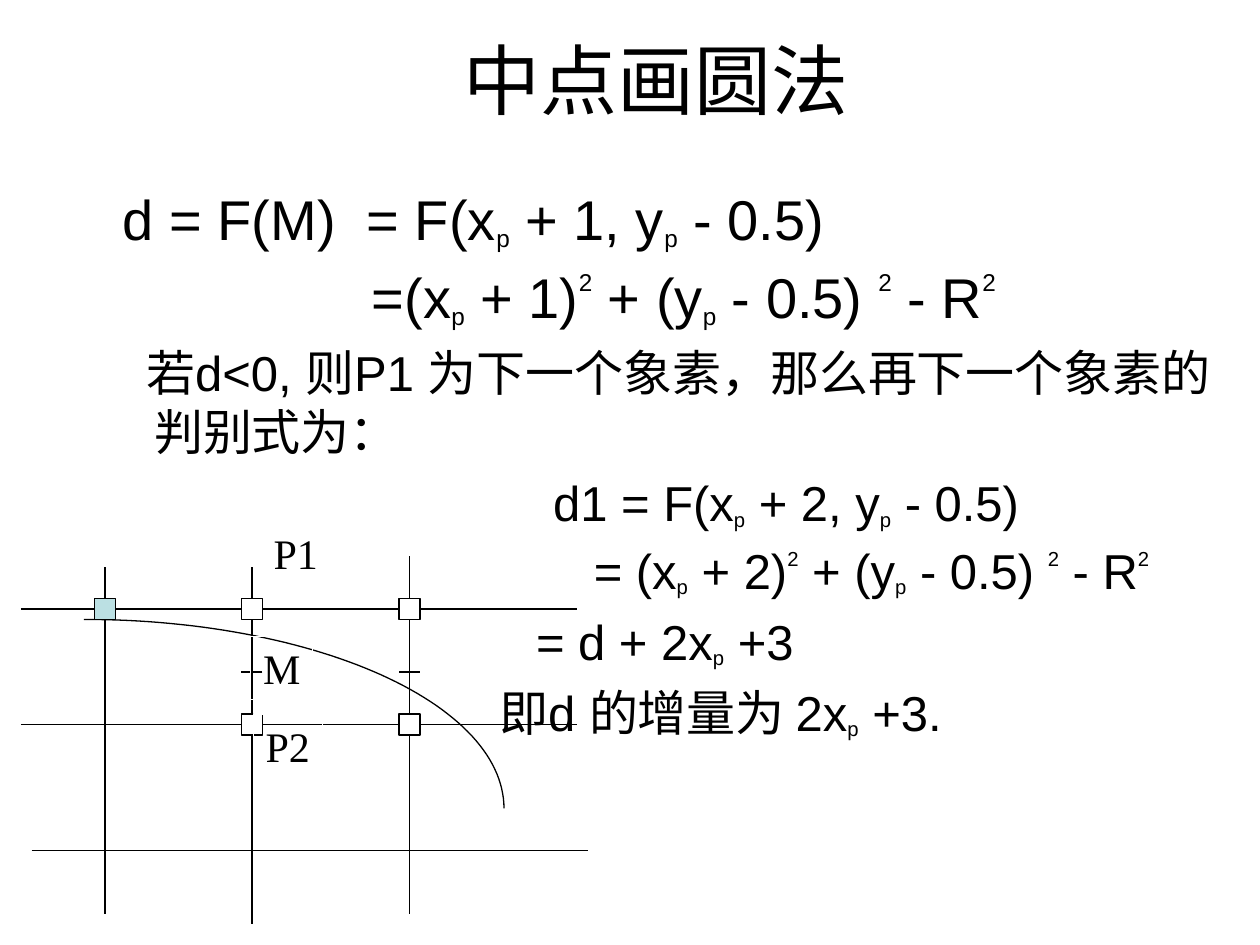
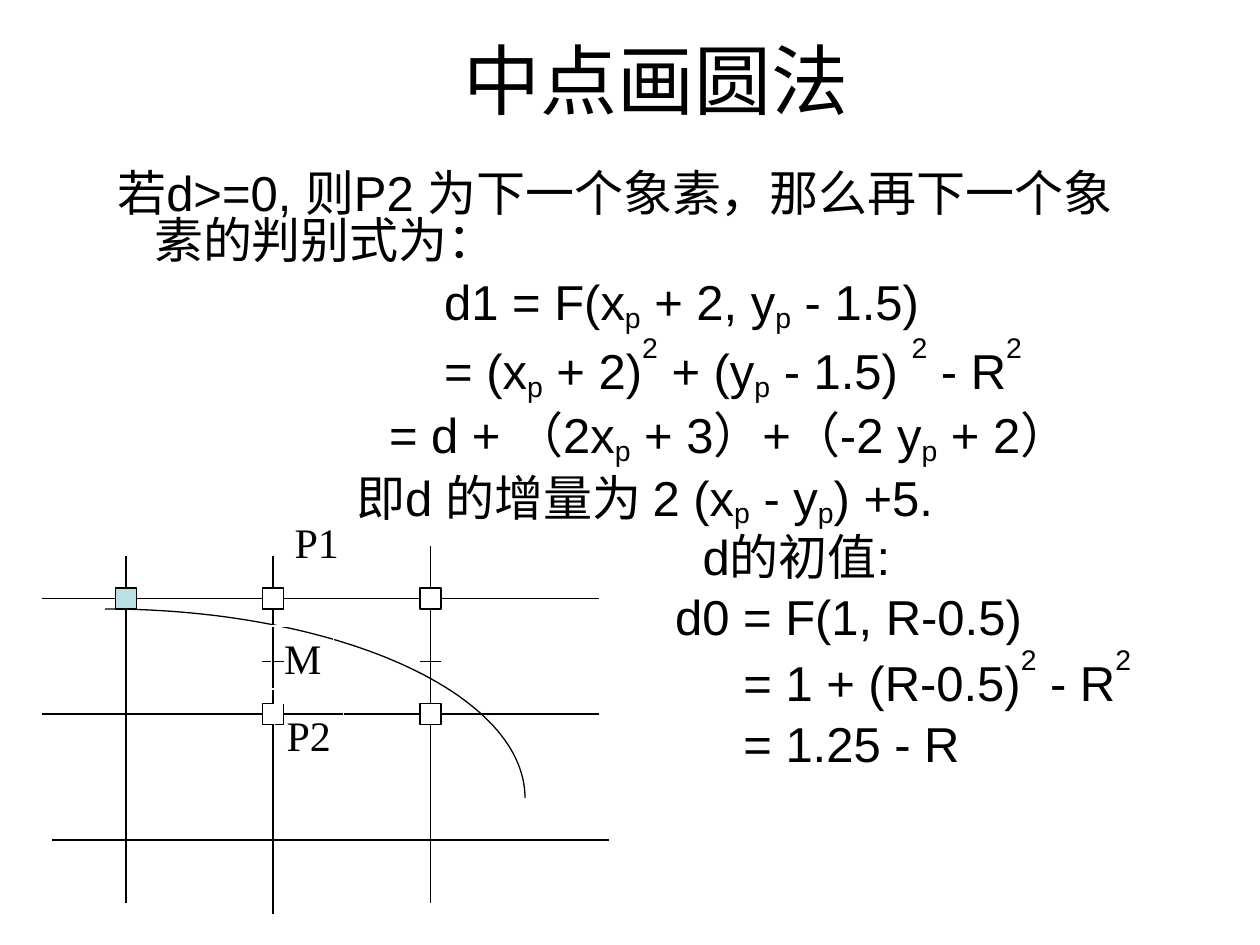
from math import cos, pi, sin

from lxml.etree import SubElement
from pptx import Presentation
from pptx.dml.color import RGBColor
from pptx.enum.shapes import MSO_CONNECTOR, MSO_SHAPE
from pptx.enum.text import MSO_ANCHOR, MSO_AUTO_SIZE, PP_ALIGN
from pptx.oxml.ns import qn
from pptx.util import Pt

PX = 9525  # EMU in one px, 96 px to the inch
BLACK = RGBColor(0x00, 0x00, 0x00)
WHITE = RGBColor(0xFF, 0xFF, 0xFF)
PALE_TEAL = RGBColor(0xBB, 0xE0, 0xE3)
BODY_FONT, LABEL_FONT = "Arial", "Times New Roman"
LINE_WIDTH = Pt(0.75)
BASELINES = {"_": "-16000", "^": "64000"}
HANG = 36
PIXEL = 16
TITLE = "中点画圆法"


def emu(*lengths):
    return [round(length * PX) for length in lengths]


class Deck:
    def __init__(self):
        self.prs = Presentation()
        self.prs.slide_width, self.prs.slide_height = emu(960, 720)
        self.s = None

    def new_slide(self, title):
        self.s = self.prs.slides.add_slide(self.prs.slide_layouts[5])
        sp = self.s.shapes.title
        sp.left, sp.top, sp.width, sp.height = emu(120, 0, 760, 120)
        tf = sp.text_frame
        tf.auto_size = MSO_AUTO_SIZE.NONE
        tf.vertical_anchor = MSO_ANCHOR.MIDDLE
        p = tf.paragraphs[0]
        p.alignment = PP_ALIGN.CENTER
        self.run(p, title, 44)

    def run(self, p, text, size, font=BODY_FONT):
        r = p.add_run()
        r.text = text
        r.font.size, r.font.name = Pt(size), font
        r.font.color.rgb = BLACK
        return r

    def formula(self, p, text, size, script_size):
        """Write text in runs; _p is a subscript and ^2 a superscript."""
        marked = text.replace("_p", "|_p|").replace("^2", "|^2|")
        for piece in filter(None, marked.split("|")):
            if piece[0] in BASELINES:
                r = self.run(p, piece[1:], script_size)
                r.font._element.set("baseline", BASELINES[piece[0]])
            else:
                self.run(p, piece, size)

    def body(self, box, lines, line_spacing=None):
        """Each line is (start, space before, size, script size, text)."""
        tf = self.s.shapes.add_textbox(*emu(*box)).text_frame
        tf.word_wrap = True
        for i, (start, before, size, script_size, text) in enumerate(lines):
            p = tf.add_paragraph() if i else tf.paragraphs[0]
            p.space_before = Pt(before)
            p.line_spacing = line_spacing
            margin, indent = emu(max(start, HANG), min(start - HANG, 0))
            pPr = p._p.get_or_add_pPr()
            pPr.set("marL", str(margin))
            pPr.set("indent", str(indent))
            self.formula(p, text, size, script_size)

    def line(self, x1, y1, x2, y2):
        c = self.s.shapes.add_connector(MSO_CONNECTOR.STRAIGHT, *emu(x1, y1, x2, y2))
        self.outline(c, BLACK)
        SubElement(c._element.spPr, qn("a:effectLst"))

    def outline(self, sp, color):
        sp.line.color.rgb = color
        sp.line.width = LINE_WIDTH

    def quarter_ellipse(self, x, y, width, height, steps=60):
        angles = [pi / 2 * i / steps for i in range(steps + 1)]
        points = [emu(x + width * sin(a), y + height * (1 - cos(a))) for a in angles]
        builder = self.s.shapes.build_freeform(*points[0])
        builder.add_line_segments(points[1:], close=False)
        sp = builder.convert_to_shape()
        sp.fill.background()
        sp.shadow.inherit = False
        self.outline(sp, BLACK)

    def rectangle(self, x, y, width, height, fill, line):
        sp = self.s.shapes.add_shape(MSO_SHAPE.RECTANGLE, *emu(x, y, width, height))
        sp.shadow.inherit = False
        if fill is None:
            sp.fill.background()
        else:
            sp.fill.solid()
            sp.fill.fore_color.rgb = fill
        self.outline(sp, line)
        return sp

    def label(self, x, y, width, text):
        tf = self.rectangle(x, y, width, 48, None, WHITE).text_frame
        tf.word_wrap = False
        tf.auto_size = MSO_AUTO_SIZE.SHAPE_TO_FIT_TEXT
        tf.vertical_anchor = MSO_ANCHOR.TOP
        p = tf.paragraphs[0]
        p.alignment = PP_ALIGN.LEFT
        self.run(p, text, 24, LABEL_FONT)

    def circle_diagram(self, x, y):
        """Draw the pixel grid and arc; (x, y) is the current pixel's centre."""
        half = PIXEL // 2
        columns = [x, x + 112, x + 232]
        rows = [y, y + 88, y + 184]
        for row, shift in zip(rows, (0, 0, 8)):
            self.line(x - 64 + shift, row, x + 360 + shift, row)
        for column, top, bottom in zip(columns, (-32, -32, -40), (232, 240, 232)):
            self.line(column, y + top, column, y + bottom)
        self.quarter_ellipse(x - 16, y + 8, 320, 144)
        for column in columns[1:]:
            self.line(column + half, y + 48, column - half, y + 48)
        for column in columns[1:]:
            for row in rows[:2]:
                self.rectangle(column - half, row - half, PIXEL, PIXEL, WHITE, BLACK)
        self.rectangle(x - half, y - half, PIXEL, PIXEL, PALE_TEAL, BLACK)
        self.label(x + 111, y + 21, 47, "M")
        self.label(x + 119, y - 67, 53, "P1")
        self.label(x + 113, y + 80, 53, "P2")


def main():
    deck = Deck()

    deck.new_slide(TITLE)
    deck.body((72, 136, 872, 504), [
        (12, 8, 32, 24, "d = F(M)  = F(x_p + 1, y_p - 0.5)"),
        (202, 6, 32, 24, "=(x_p + 1)^2 + (y_p - 0.5) ^2 - R^2"),
        (30, 7, 28, 20, "若d<0, 则P1 为下一个象素，那么再下一个象素的判别式为："),
        (340, 7, 28, 20, "d1 = F(x_p + 2, y_p - 0.5)"),
        (371, 5, 28, 20, "= (x_p + 2)^2 + (y_p - 0.5) ^2 - R^2"),
        (327, 7, 28, 20, "= d + 2x_p +3"),
        (299, 7, 28, 20, "即d 的增量为 2x_p +3."),
    ])
    deck.circle_diagram(80, 464)

    deck.new_slide(TITLE)
    steps = [
        (8, "若d>=0, 则P2 为下一个象素，那么再下一个象素的判别式为："),
        (257, "d1 = F(x_p + 2, y_p - 1.5)"),
        (257, "= (x_p + 2)^2 + (y_p - 1.5) ^2 - R^2"),
        (215, "= d + （2x_p + 3）+（-2 y_p + 2）"),
        (190, "即d 的增量为 2 (x_p - y_p) +5."),
        (454, "d的初值:"),
        (433, "d0 = F(1, R-0.5)"),
        (485, "= 1 + (R-0.5)^2 - R^2"),
        (485, "= 1.25 - R"),
    ]
    deck.body((72, 128, 816, 512),
              [(start, 7, 28, 28, text) for start, text in steps], line_spacing=0.8)
    deck.circle_diagram(96, 456)

    deck.prs.save("out.pptx")


if __name__ == "__main__":
    main()
